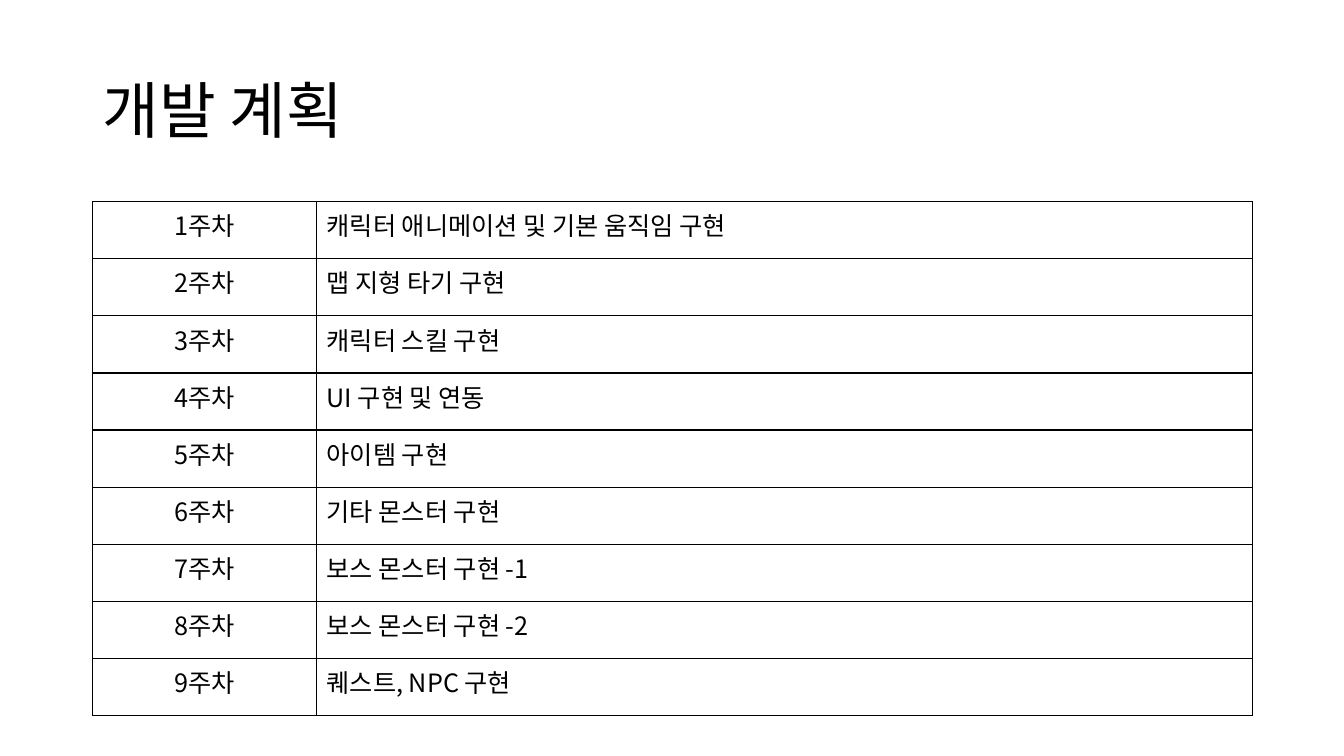
from lxml.etree import SubElement
from pptx import Presentation
from pptx.dml.color import RGBColor
from pptx.enum.text import MSO_ANCHOR, PP_ALIGN
from pptx.oxml import parse_xml
from pptx.oxml.ns import nsdecls, qn
from pptx.util import Inches, Pt

TITLE = "개발 계획"
TASKS = [
    "캐릭터 애니메이션 및 기본 움직임 구현",
    "맵 지형 타기 구현",
    "캐릭터 스킬 구현",
    "UI 구현 및 연동",
    "아이템 구현",
    "기타 몬스터 구현",
    "보스 몬스터 구현 -1",
    "보스 몬스터 구현 -2",
    "퀘스트, NPC 구현",
]
THEME = {
    "font": "Noto Sans CJK KR",
    "ink": "000000",
    "paper": "FFFFFF",
    "title": 44,
    "body": 18,
    "border": 1,
}
LEFT, WIDTH = 0.92, 11.5
TITLE_TOP, TITLE_HEIGHT = 0.4, 1.45
TABLE_TOP, TABLE_HEIGHT = 2, 5.1
WEEK_WIDTH = 2.22


def write(tf, text, size, align=PP_ALIGN.LEFT, spacing=None):
    p = tf.paragraphs[0]
    p.alignment = align
    p.line_spacing = spacing
    r = p.add_run()
    r.text = text
    r.font.size = Pt(size)
    r.font.color.rgb = RGBColor.from_string(THEME["ink"])
    r.font.name = THEME["font"]
    SubElement(r.font._element, qn("a:ea"), typeface=THEME["font"])


def add_borders(cell):
    tc_pr = cell._tc.get_or_add_tcPr()
    for i, side in enumerate(("lnL", "lnR", "lnT", "lnB")):
        tc_pr.insert(i, parse_xml(
            f'<a:{side} {nsdecls("a")} w="{Pt(THEME["border"])}">'
            f'<a:solidFill><a:srgbClr val="{THEME["ink"]}"/></a:solidFill>'
            f'</a:{side}>'))


def add_title(slide):
    sp = slide.shapes.add_textbox(
        Inches(LEFT), Inches(TITLE_TOP), Inches(WIDTH), Inches(TITLE_HEIGHT))
    tf = sp.text_frame
    tf.word_wrap = True
    tf.vertical_anchor = MSO_ANCHOR.MIDDLE
    write(tf, TITLE, THEME["title"], spacing=0.9)


def add_plan(slide):
    table = slide.shapes.add_table(
        len(TASKS), 2, Inches(LEFT), Inches(TABLE_TOP),
        Inches(WIDTH), Inches(TABLE_HEIGHT)).table
    table.first_row = table.horz_banding = False
    table.columns[0].width = Inches(WEEK_WIDTH)
    table.columns[1].width = Inches(WIDTH - WEEK_WIDTH)
    for i, task in enumerate(TASKS):
        table.rows[i].height = Inches(TABLE_HEIGHT / len(TASKS))
        week_cell, task_cell = table.rows[i].cells
        write(week_cell.text_frame, f"{i + 1}주차", THEME["body"], align=PP_ALIGN.CENTER)
        write(task_cell.text_frame, task, THEME["body"])
        for cell in (week_cell, task_cell):
            cell.fill.solid()
            cell.fill.fore_color.rgb = RGBColor.from_string(THEME["paper"])
            add_borders(cell)


def main():
    prs = Presentation()
    prs.slide_width, prs.slide_height = Inches(13.33), Inches(7.5)
    slide = prs.slides.add_slide(prs.slide_layouts[6])
    add_title(slide)
    add_plan(slide)
    prs.save("out.pptx")


if __name__ == "__main__":
    main()
